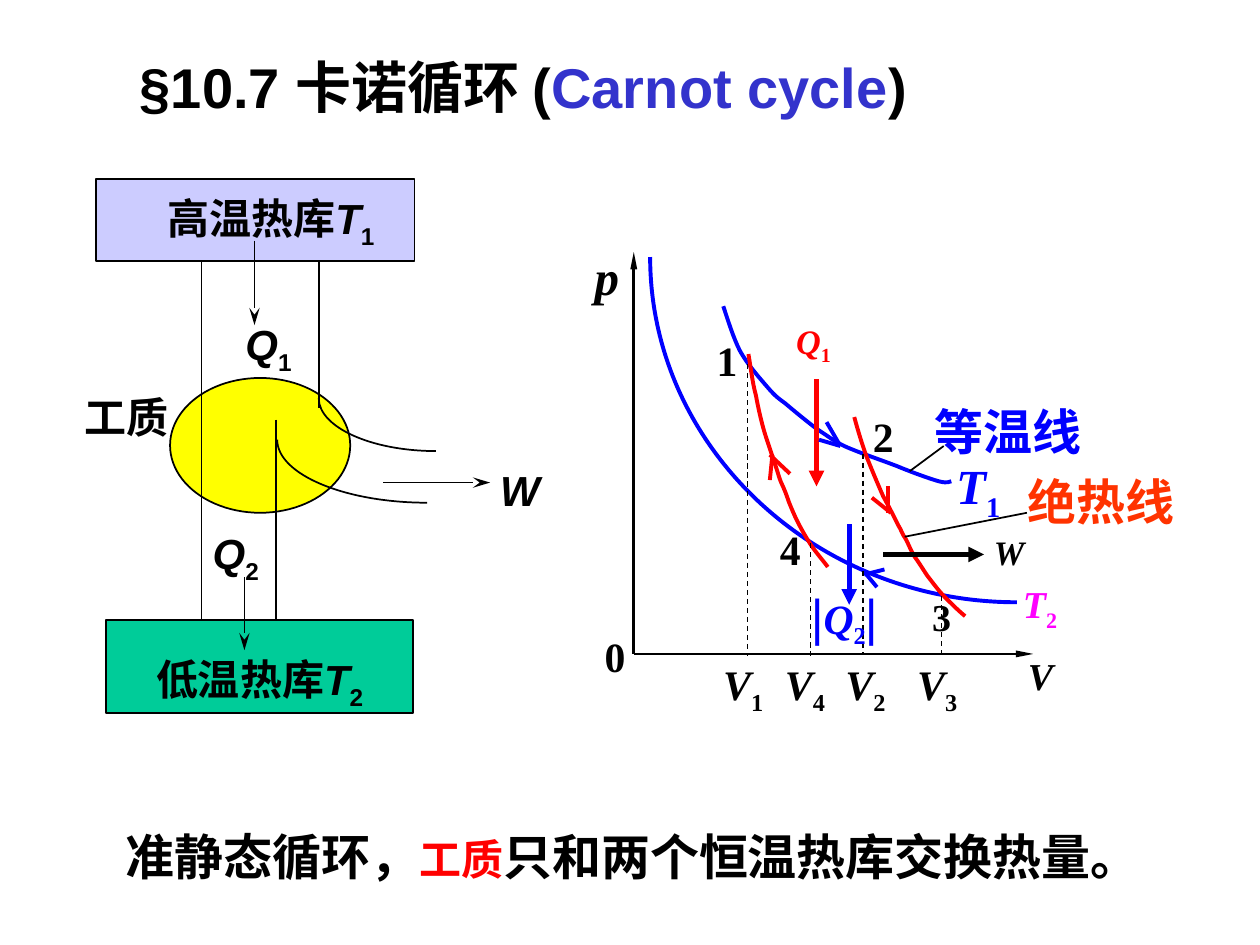
"""Build a Carnot cycle slide with a heat engine scheme and a p-V diagram."""
from lxml.etree import SubElement
from pptx import Presentation
from pptx.dml.color import RGBColor
from pptx.enum.dml import MSO_LINE
from pptx.enum.shapes import MSO_CONNECTOR, MSO_SHAPE
from pptx.enum.text import MSO_ANCHOR, MSO_AUTO_SIZE, PP_ALIGN
from pptx.oxml.ns import qn
from pptx.util import Cm, Pt

DASH, STRAIGHT = MSO_LINE.DASH, MSO_CONNECTOR.STRAIGHT
RECTANGLE, OVAL = MSO_SHAPE.RECTANGLE, MSO_SHAPE.OVAL
TOP, LEFT, NO_FIT = MSO_ANCHOR.TOP, PP_ALIGN.LEFT, MSO_AUTO_SIZE.NONE
CM_PER_UNIT = 2.54
TITLE_ONLY = 5
ARC_PULL = 0.55

THEME = {
    "black": "000000", "blue": "0000FF", "red": "FF0000", "orange": "FF3300",
    "magenta": "FF00FF", "indigo": "3333CC", "lilac": "CCCCFF",
    "green": "00CC99", "yellow": "FFFF00",
    "sans": "Arial", "serif": "Times New Roman", "cjk": "Noto Sans CJK SC",
    "title": 32, "large": 28, "body": 24, "point": 23.8, "axis": 21.7, "small": 19.6,
    "thin": 1, "dashed": 0.75, "axis line": 1.5, "curve": 2.25, "flow": 3,
}


def symbol(letter, index):
    """Return the runs of an italic letter with a lowered index."""
    return [(letter, {"italic": True}), (index, {"lowered": True})]


TITLE = [("§10.7 卡诺循环 (", {}), ("Carnot cycle", {"color": "indigo"}), (")", {})]
SUMMARY = [("准静态循环，", {}), ("工质", {"size": "body", "color": "red"}),
           ("只和两个恒温热库交换热量。", {})]

ENGINE_PARTS = [
    (RECTANGLE, (0.76, 1.42, 2.53, 0.65), "lilac"),
    (RECTANGLE, (0.84, 4.92, 2.44, 0.74), "green"),
    (OVAL, (1.35, 3, 1.43, 1.07), "yellow"),
]
ENGINE_PIPES = [(1.6, 2.08, 1.6, 4.91), (2.19, 3.33, 2.19, 4.91), (2.53, 2.08, 2.53, 3.24)]
ENGINE_OUTLETS = [(2.53, 3.16, 0.93, 0.42), (2.2, 3.49, 1.19, 0.5)]
ENGINE_FLOWS = [(2.02, 1.91, 2.02, 2.58), (1.94, 4.58, 1.94, 5.16), (3.04, 3.83, 3.89, 3.83)]
ENGINE_LABELS = [
    ((1.85, 2.48, 0.57, 0.56), symbol("Q", "1")),
    ((1.59, 4.14, 0.57, 0.56), symbol("Q", "2")),
    ((3.87, 3.64, 0.52, 0.5), [("W", {"italic": True})]),
    ((1.23, 1.48, 1.93, 0.56), [("高温热库", {})] + symbol("T", "1")),
    ((1.14, 5.14, 1.93, 0.56), [("低温热库", {})] + symbol("T", "2")),
    ((0.57, 3.06, 0.87, 0.5), [("工质", {})]),
]

COLD_ISOTHERM = (5.16, 2.04, 2.91, 2.74)
CURVES = [
    ("blue", [(5.74, 2.43), (5.78, 2.55), (5.82, 2.68), (5.87, 2.78), (5.93, 2.89),
              (6.02, 2.99), (6.08, 3.06), (6.14, 3.13), (6.16, 3.15), (6.23, 3.2),
              (6.3, 3.26), (6.41, 3.35), (6.49, 3.41), (6.57, 3.46), (6.6, 3.49),
              (6.7, 3.54), (6.81, 3.59), (6.99, 3.65), (7.12, 3.7), (7.24, 3.75),
              (7.38, 3.8), (7.45, 3.82), (7.53, 3.84), (7.53, 3.82), (7.55, 3.82)]),
    ("red", [(6.78, 3.31), (6.81, 3.42), (6.84, 3.52), (6.88, 3.63), (6.92, 3.73),
             (6.97, 3.85), (7.01, 3.94), (7.06, 4.03), (7.1, 4.11), (7.13, 4.17),
             (7.16, 4.22), (7.16, 4.24), (7.19, 4.28), (7.21, 4.32), (7.23, 4.37),
             (7.26, 4.42), (7.29, 4.46), (7.32, 4.51), (7.36, 4.57), (7.4, 4.62),
             (7.45, 4.69), (7.5, 4.74), (7.55, 4.79), (7.62, 4.86), (7.66, 4.89)]),
    ("red", [(5.94, 2.81), (5.96, 2.92), (5.97, 3.03), (6, 3.14), (6.02, 3.25),
             (6.05, 3.38), (6.08, 3.47), (6.11, 3.56), (6.14, 3.65), (6.16, 3.71),
             (6.18, 3.77), (6.18, 3.78), (6.2, 3.83), (6.22, 3.87), (6.24, 3.92),
             (6.26, 3.98), (6.28, 4.03), (6.3, 4.08), (6.33, 4.14), (6.36, 4.2),
             (6.4, 4.27), (6.44, 4.33), (6.48, 4.39), (6.55, 4.47), (6.57, 4.5)]),
]
AXES = [(5.03, 5.19, 8.2, 5.19), (5.03, 5.19, 5.03, 2)]
DIAGRAM_FLOWS = [("red", (6.48, 3.01, 6.48, 3.86)), ("blue", (6.74, 4.16, 6.74, 4.8)),
                 ("black", (7.01, 4.4, 7.81, 4.4))]
DIRECTION_MARKS = [
    ("red", (7.05, 3.86, 7.05, 4.07)), ("red", (6.92, 3.95, 7.07, 4.07)),
    ("blue", (6.56, 3.35, 6.67, 3.54)), ("blue", (6.5, 3.49, 6.67, 3.54)),
    ("blue", (7.02, 4.52, 6.86, 4.56)), ("blue", (6.96, 4.66, 6.86, 4.54)),
    ("red", (6.27, 3.76, 6.11, 3.61)), ("red", (6.11, 3.81, 6.13, 3.61)),
]
LEADERS = [(7.22, 3.74, 7.49, 3.54), (7.18, 4.26, 8.15, 4.07)]
VOLUME_LINES = [(5.93, 2.89, 5.21), (6.43, 4.31, 5.21), (6.85, 3.6, 5.19), (7.47, 4.73, 5.19)]
VOLUME_TABS = [0.49, 0.97, 1.54]
VOLUMES = symbol("V", "1") + symbol("\tV", "4") + symbol("\tV", "2") + symbol("\tV", "3")
BAR = ("|", {"font": "cjk"})
DIAGRAM_LABELS = [
    ((4.62, 1.91, 0.55, 0.64), [("p", {"italic": True})], "large", "black"),
    ((4.7, 4.96, 0.42, 0.5), [("0", {})], "point", "black"),
    ((5.59, 2.61, 0.7, 0.5), [("1", {})], "point", "black"),
    ((6.83, 3.21, 0.4, 0.52), [("2", {})], "point", "black"),
    ((7.3, 4.66, 0.39, 0.5), [("3", {})], "axis", "black"),
    ((6.09, 4.11, 0.39, 0.5), [("4", {})], "point", "black"),
    ((6.22, 2.49, 1.25, 0.5), symbol("Q", "1"), "small", "red"),
    ((7.79, 4.17, 0.57, 0.44), [("W", {"italic": True})], "small", "black"),
    ((7.49, 3.57, 1.58, 0.67), symbol("T", "1"), "large", "blue"),
    ((8.02, 4.56, 0.63, 0.53), symbol("T", "2"), "axis", "magenta"),
    ((8.06, 5.13, 0.76, 0.49), [("V", {"italic": True})], "axis", "black"),
    ((8.06, 3.69, 1.4, 0.57), [("绝热线", {})], "large", "orange"),
    ((7.32, 3.14, 2.32, 0.57), [("等温线", {})], "large", "blue"),
]


def lengths(values):
    return [Cm(value * CM_PER_UNIT) for value in values]


def color_of(name):
    return RGBColor.from_string(THEME[name])


def add_span(para, text, size="body", color="black", font="sans", italic=False, lowered=False):
    span = para.add_run()
    span.text = text
    span.font.name = THEME[font]
    span.font.size = Pt(THEME[size])
    span.font.bold, span.font.italic = True, italic
    span.font.color.rgb = color_of(color)
    properties = span.font._element
    SubElement(properties, qn("a:ea")).set("typeface", THEME["cjk"])
    if lowered:
        properties.set("baseline", "-25000")


def fill_text(frame, runs, wrap=True, tabs=(), spacing=None, **style):
    frame.word_wrap, frame.auto_size, frame.vertical_anchor = wrap, NO_FIT, TOP
    para = frame.paragraphs[0]
    para.alignment = LEFT
    if spacing:
        para.line_spacing = spacing
    if tabs:
        stops = SubElement(para._p.get_or_add_pPr(), qn("a:tabLst"))
        for position in lengths(tabs):
            SubElement(stops, qn("a:tab"), pos=str(position), algn="l")
    for text, change in runs:
        add_span(para, text, **{**style, **change})


def add_label(board, place, runs, **style):
    fill_text(board.add_textbox(*lengths(place)).text_frame, runs, **style)


def add_line(board, ends, width="thin", color="black", dash=None, arrow=None):
    line = board.add_connector(STRAIGHT, *lengths(ends))
    line.line.color.rgb = color_of(color)
    line.line.width = Pt(THEME[width])
    if dash:
        line.line.dash_style = dash
    if arrow:
        head = SubElement(line.line._get_or_add_ln(), qn("a:tailEnd"))
        for key, value in zip(("type", "w", "len"), arrow):
            head.set(key, value)
    SubElement(line._element.spPr, qn("a:effectLst"))


def quarter_arc(left, top, width, height):
    right, bottom = left + width, top + height
    return [(left, top), (left, top + ARC_PULL * height),
            (right - ARC_PULL * width, bottom), (right, bottom)]


def add_curve(board, points, width="curve", color="black"):
    """Draw a Bezier curve whose start is followed by triples of control points."""
    first, *others = [lengths(point) for point in points]
    builder = board.build_freeform(*first)
    builder.add_line_segments(others, close=False)
    curve = builder.convert_to_shape()
    route = next(curve._element.iter(qn("a:path")))
    segments = route.findall(qn("a:lnTo"))
    for start in range(0, len(segments), 3):
        bend = SubElement(route, qn("a:cubicBezTo"))
        for segment in segments[start:start + 3]:
            bend.append(segment[0])
            route.remove(segment)
    curve.shadow.inherit = False
    curve.fill.background()
    curve.line.color.rgb = color_of(color)
    curve.line.width = Pt(THEME[width])


def draw_engine(board):
    for kind, place, color in ENGINE_PARTS:
        part = board.add_shape(kind, *lengths(place))
        part.shadow.inherit = False
        part.fill.solid()
        part.fill.fore_color.rgb = color_of(color)
        part.line.color.rgb = color_of("black")
        part.line.width = Pt(THEME["thin"])
    for ends in ENGINE_PIPES:
        add_line(board, ends)
    for place in ENGINE_OUTLETS:
        add_curve(board, quarter_arc(*place), width="thin")
    for ends in ENGINE_FLOWS:
        add_line(board, ends, arrow=("stealth", "med", "lg"))
    for place, runs in ENGINE_LABELS:
        add_label(board, place, runs, wrap=False)


def draw_diagram(board):
    for color, points in [("blue", quarter_arc(*COLD_ISOTHERM)), *CURVES]:
        add_curve(board, points, color=color)
    for ends in AXES:
        add_line(board, ends, width="axis line", arrow=("triangle", "sm", "lg"))
    for color, ends in DIAGRAM_FLOWS:
        add_line(board, ends, width="flow", color=color, arrow=("triangle", "med", "med"))
    for color, ends in DIRECTION_MARKS:
        add_line(board, ends, width="curve", color=color)
    for ends in LEADERS:
        add_line(board, ends)
    for x, top, bottom in VOLUME_LINES:
        add_line(board, (x, top, x, bottom), width="dashed", dash=DASH)
    for place, runs, size, color in DIAGRAM_LABELS:
        add_label(board, place, runs, size=size, color=color, font="serif")
    add_label(board, (6.34, 4.66, 1.48, 0.59), [BAR, *symbol("Q", "2"), BAR],
              size="point", color="blue", font="serif", spacing=0.9)
    add_label(board, (5.64, 5.18, 2.69, 0.56), VOLUMES, font="serif", tabs=VOLUME_TABS)


def main():
    deck = Presentation()
    deck.slide_width, deck.slide_height = lengths((10, 7.5))
    page = deck.slides.add_slide(deck.slide_layouts[TITLE_ONLY])
    title = page.shapes.title
    title.left, title.top, title.width, title.height = lengths((1.01, 0.37, 6.97, 0.63))
    fill_text(title.text_frame, TITLE, size="title")
    draw_engine(page.shapes.add_group_shape().shapes)
    add_label(page.shapes, (0.9, 6.51, 8.41, 0.57), SUMMARY, size="large")
    draw_diagram(page.shapes.add_group_shape().shapes)
    deck.save("out.pptx")


if __name__ == "__main__":
    main()
